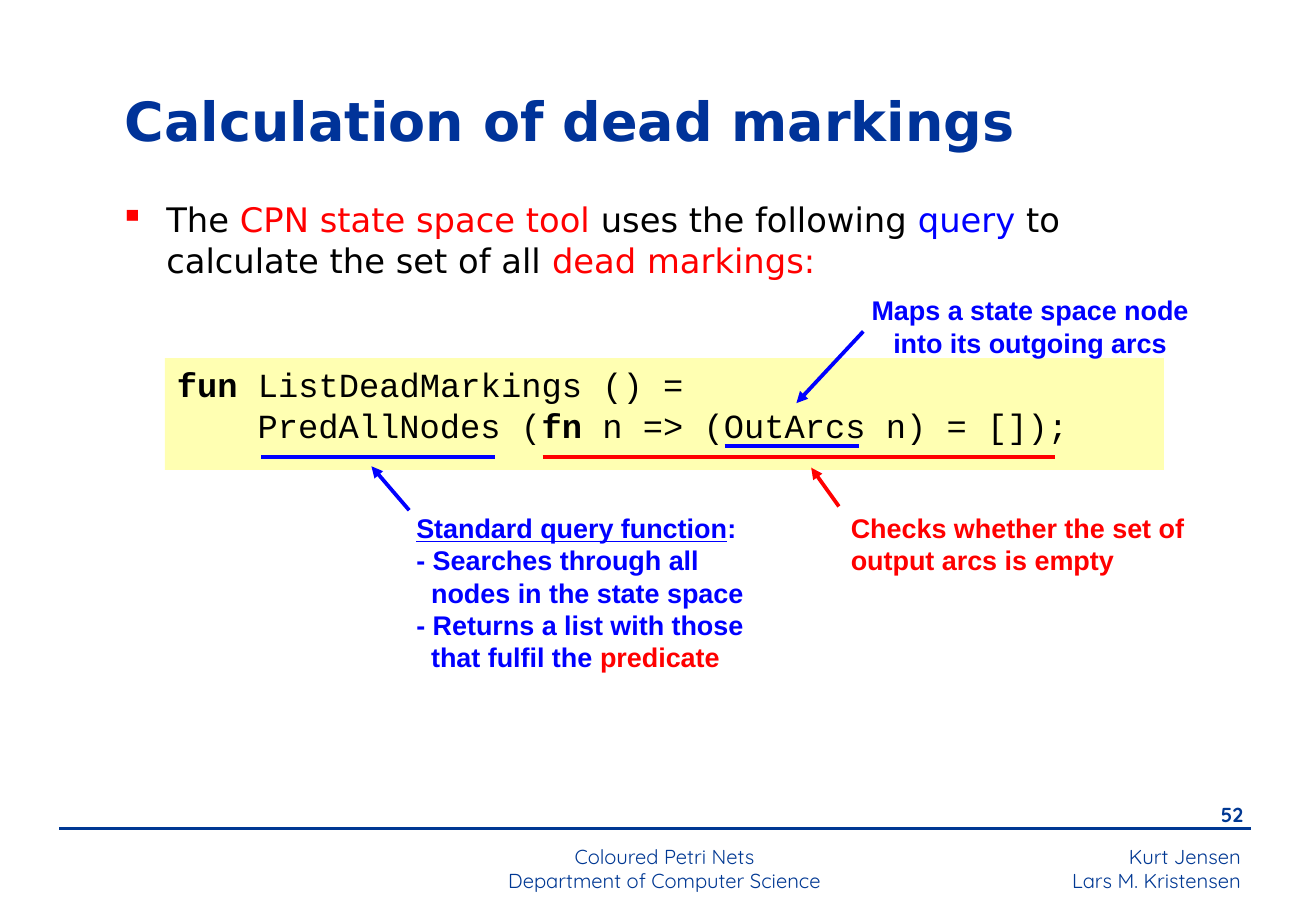
"""Build the slide on the query that calculates dead markings."""
import pptx
import pptx.dml.color
import pptx.enum.shapes
import pptx.enum.text
import pptx.oxml
import pptx.oxml.ns
import pptx.util
from lxml import etree

Cm, Pt = pptx.util.Cm, pptx.util.Pt
ALIGN = pptx.enum.text.PP_ALIGN
ANCHOR = pptx.enum.text.MSO_ANCHOR
COLORS = {"navy": "003893", "title": "003399", "black": "000000",
          "red": "FF0000", "blue": "0000FF", "code": "FFFF66"}


def rgb(name):
    return pptx.dml.color.RGBColor.from_string(COLORS[name])


def write(sp, paragraphs, font, size, align=ALIGN.LEFT, before=0, anchor=ANCHOR.TOP):
    """Fill a shape with (indent in cm, runs); a run is (text, colour, style letters)."""
    tf = sp.text_frame
    tf.word_wrap = True
    tf.vertical_anchor = anchor
    for i, (indent, runs) in enumerate(paragraphs):
        p = tf.add_paragraph() if i else tf.paragraphs[0]
        p.alignment = align
        p.space_before = Pt(before)
        if indent:
            p._p.get_or_add_pPr().set("marL", str(Cm(indent)))
        for text, color, style in runs:
            r = p.add_run()
            r.text = text
            r.font.name = font
            r.font.size = Pt(size)
            r.font.color.rgb = rgb(color)
            r.font.bold = "b" in style
            r.font.underline = "u" in style
    return tf


prs = pptx.Presentation()
prs.slide_width, prs.slide_height = Cm(27.53), Cm(19.05)
s = prs.slides.add_slide(prs.slide_layouts[6])

code = s.shapes.add_shape(pptx.enum.shapes.MSO_SHAPE.RECTANGLE,
                          Cm(3.45), Cm(7.49), Cm(20.9), Cm(2.34))
code.shadow.inherit = False
code.line.fill.background()
code.fill.solid()
code.fill.fore_color.rgb = rgb("code")
srgb = code._element.spPr.find(".//" + pptx.oxml.ns.qn("a:srgbClr"))
etree.SubElement(srgb, pptx.oxml.ns.qn("a:alpha"), val="50000")
write(code, [
    (0, [("fun", "black", "b"), (" ListDeadMarkings () =", "black", "")]),
    (1.69, [("PredAllNodes (", "black", ""), ("fn", "black", "b"),
            (" n => (OutArcs n) = []);", "black", "")]),
], "Courier New", 20)

texts = [
    ((2.36, 1.63, 21.79, 1.75), [(0, [("Calculation of dead markings", "title", "b")])],
     "DejaVu Sans", 32, ALIGN.LEFT, 0, ANCHOR.MIDDLE),
    ((17.55, 10.57, 8.1, 1.63),
     [(0, [("Checks whether the set of output arcs is empty", "red", "b")])],
     "Arial", 16),
    ((8.46, 10.57, 7.9, 3.66), [
        (0, [("Standard query function", "blue", "bu"), (":", "blue", "b")]),
        (0, [("- Searches through all", "blue", "b")]),
        (0.31, [("nodes in the state space", "blue", "b")]),
        (0, [("- Returns a list with those", "blue", "b")]),
        (0.31, [("that fulfil the ", "blue", "b"), ("predicate", "red", "b")]),
    ], "Arial", 16),
    ((17.55, 6.02, 8, 1.63),
     [(0, [("Maps a state space node into its outgoing arcs", "blue", "b")])],
     "Arial", 16, ALIGN.CENTER),
    ((8.66, 17.53, 10.49, 1.19),
     [(0, [(t, "navy", "")]) for t in ("Coloured Petri Nets", "Department of Computer Science")],
     "Quicksand", 12, ALIGN.CENTER),
    ((17.65, 17.53, 8.56, 1.27),
     [(0, [(t, "navy", "")]) for t in ("Kurt Jensen", "Lars M. Kristensen")],
     "Quicksand", 12, ALIGN.RIGHT),
    ((24.46, 16.66, 1.8, 0.84), [(0, [("52", "navy", "b")])],
     "Quicksand", 12, ALIGN.RIGHT, 7.5),
]
for box, *content in texts:
    write(s.shapes.add_textbox(*map(Cm, box)), *content)

body = s.shapes.add_textbox(Cm(2.26), Cm(4.04), Cm(23.32), Cm(2.01))
tf = write(body, [(0.97, [
    ("The ", "black", ""), ("CPN state space tool", "red", ""),
    (" uses the following", "black", ""), (" query ", "blue", ""),
    ("to calculate the set of all ", "black", ""), ("dead markings:", "red", ""),
])], "DejaVu Sans", 20, before=5)
pPr = tf.paragraphs[0]._p.get_or_add_pPr()
pPr.set("indent", str(-Cm(0.97)))
bullet_color = etree.SubElement(pPr, pptx.oxml.ns.qn("a:buClr"))
etree.SubElement(bullet_color, pptx.oxml.ns.qn("a:srgbClr"), val=COLORS["red"])
etree.SubElement(pPr, pptx.oxml.ns.qn("a:buChar"), char="▪")

lines = [
    ((1.24, 17.32, 26.16, 17.32), "navy", 1.5, False),
    ((11.35, 9.55, 22.07, 9.55), "red", 2.25, False),
    ((5.46, 9.55, 10.36, 9.55), "blue", 2.25, False),
    ((15.16, 9.32, 17.96, 9.32), "blue", 2.25, False),
    ((17.55, 10.59, 16.97, 9.78), "red", 2.25, True),
    ((8.56, 10.67, 7.77, 9.75), "blue", 2.25, True),
    ((18.06, 6.93, 16.66, 8.43), "blue", 2.25, True),
]
for ends, color, width, arrow in lines:
    line = s.shapes.add_connector(pptx.enum.shapes.MSO_CONNECTOR.STRAIGHT, *map(Cm, ends))
    line.line.color.rgb = rgb(color)
    line.line.width = Pt(width)
    if arrow:
        etree.SubElement(line.line._get_or_add_ln(), pptx.oxml.ns.qn("a:tailEnd"), type="triangle")
    etree.SubElement(line._element.spPr, pptx.oxml.ns.qn("a:effectLst"))

prs.save("out.pptx")
